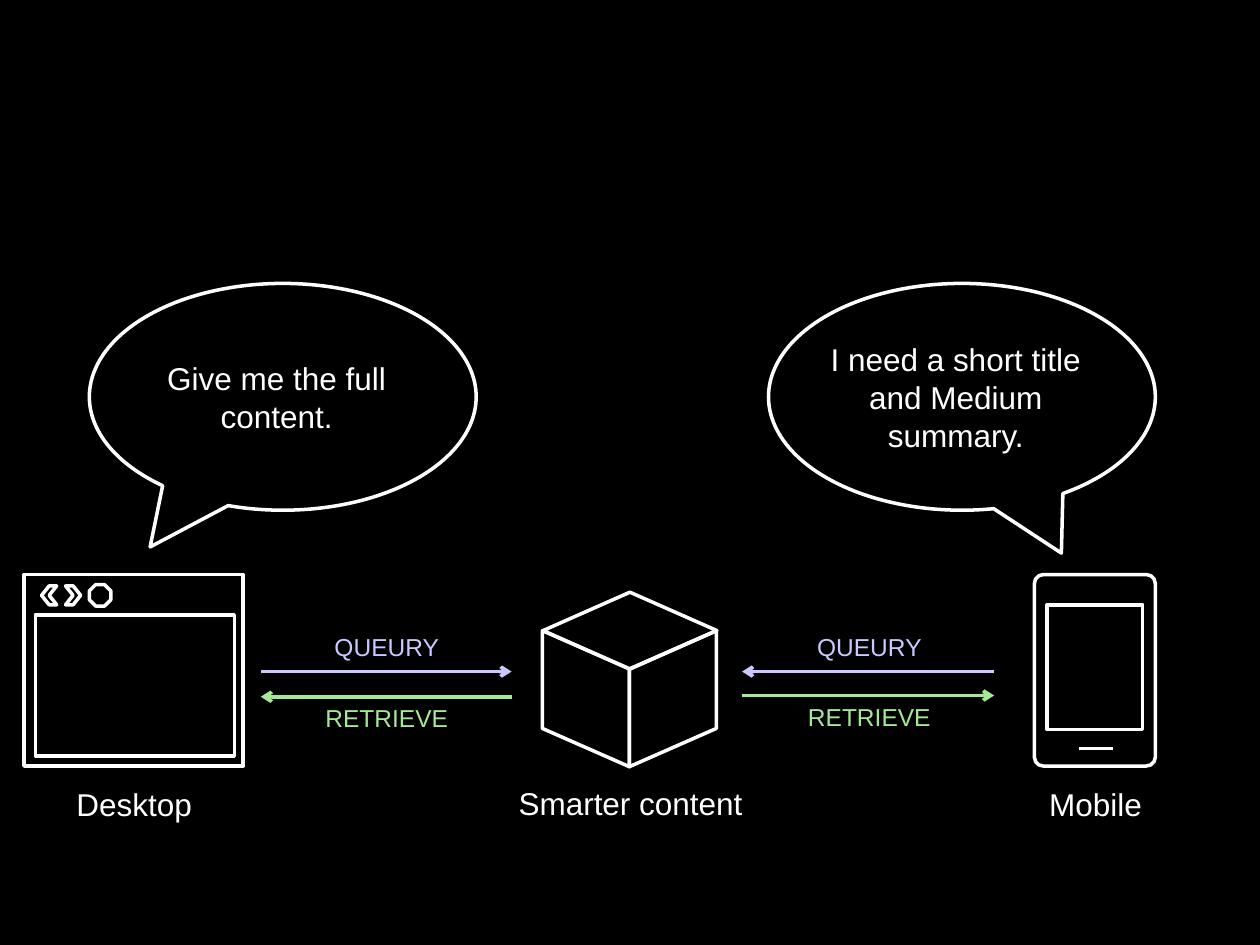
from pptx import Presentation
from pptx.dml.color import RGBColor
from pptx.enum.shapes import MSO_CONNECTOR, MSO_SHAPE
from pptx.enum.text import MSO_ANCHOR, MSO_AUTO_SIZE, PP_ALIGN
from pptx.oxml.ns import qn
from pptx.util import Inches, Pt
from lxml.etree import SubElement

WHITE, LILAC, GREEN = "FFFFFF", "CAC9FF", "A5E997"
color = RGBColor.from_string


def write(shape, text, hex_color, size, **frame_format):
    frame = shape.text_frame
    frame.word_wrap = True
    for name, value in frame_format.items():
        setattr(frame, name, value)
    paragraph = frame.paragraphs[0]
    paragraph.alignment = PP_ALIGN.CENTER
    run = paragraph.add_run()
    run.text = text
    for name, value in {"name": "Arial", "size": Pt(size)}.items():
        setattr(run.font, name, value)
    run.font.color.rgb = color(hex_color)


def outline(shapes, preset, box, adjustments=()):
    shape = shapes.add_shape(preset, *map(Inches, box))
    shape.shadow.inherit = False
    shape.fill.background()
    shape.line.color.rgb = color(WHITE)
    shape.line.width = Pt(2)
    for i, value in enumerate(adjustments):
        shape.adjustments[i] = value
    return shape


prs = Presentation()
prs.slide_width, prs.slide_height = Inches(10), Inches(7.5)
slide = prs.slides.add_slide(prs.slide_layouts[6])
slide.background.fill.solid()
slide.background.fill.fore_color.rgb = color("000000")

# Cube: two slanted sides and a top
cube = slide.shapes.add_group_shape().shapes
left_side = outline(cube, MSO_SHAPE.PARALLELOGRAM, (4.11, 5.2, 1.08, 0.69), [0.44])
left_side.rotation = 270
right_side = outline(cube, MSO_SHAPE.PARALLELOGRAM, (4.8, 5.2, 1.08, 0.69), [0.44])
right_side.rotation = 90
right_side._element.spPr.find(qn("a:xfrm")).set("flipH", "1")
outline(cube, MSO_SHAPE.DIAMOND, (4.31, 4.7, 1.38, 0.61))

# Desktop: browser window with its buttons
desktop = slide.shapes.add_group_shape().shapes
outline(desktop, MSO_SHAPE.RECTANGLE, (0.19, 4.56, 1.74, 1.52))
outline(desktop, MSO_SHAPE.RECTANGLE, (0.28, 4.88, 1.58, 1.12))
back = outline(desktop, MSO_SHAPE.CHEVRON, (0.33, 4.65, 0.12, 0.15))
back.rotation = 180
outline(desktop, MSO_SHAPE.CHEVRON, (0.52, 4.65, 0.12, 0.15))
outline(desktop, MSO_SHAPE.OCTAGON, (0.71, 4.64, 0.17, 0.17))

# Mobile: body and screen
mobile = slide.shapes.add_group_shape().shapes
outline(mobile, MSO_SHAPE.ROUNDED_RECTANGLE, (8.21, 4.56, 0.96, 1.52), [0.074])
outline(mobile, MSO_SHAPE.RECTANGLE, (8.31, 4.8, 0.76, 0.99))

# Home button and the arrows between the devices and the cube
for shapes, start, end, y, hex_color, has_head in [
    (mobile, 8.56, 8.83, 5.94, WHITE, False),
    (slide.shapes, 4.06, 2.07, 5.53, GREEN, True),
    (slide.shapes, 2.07, 4.06, 5.33, LILAC, True),
    (slide.shapes, 5.89, 7.89, 5.52, GREEN, True),
    (slide.shapes, 7.89, 5.89, 5.33, LILAC, True),
]:
    link = shapes.add_connector(MSO_CONNECTOR.STRAIGHT, *map(Inches, (start, y, end, y)))
    link.line.color.rgb = color(hex_color)
    link.line.width = Pt(2)
    if has_head:
        SubElement(link.line._get_or_add_ln(), qn("a:tailEnd"), type="arrow")
    SubElement(link._element.spPr, qn("a:effectLst"))

# Device names and arrow labels
for text, box, hex_color, size in [
    ("Smarter content", (3.42, 6.17, 3.17, 0.4), WHITE, 18),
    ("Desktop", (0.2, 6.18, 1.73, 0.4), WHITE, 18),
    ("Mobile", (7.99, 6.18, 1.41, 0.4), WHITE, 18),
    ("QUEURY", (2.08, 4.97, 1.98, 0.34), LILAC, 14),
    ("RETRIEVE", (2.08, 5.53, 1.98, 0.34), GREEN, 14),
    ("QUEURY", (5.91, 4.97, 1.98, 0.34), LILAC, 14),
    ("RETRIEVE", (5.91, 5.52, 1.98, 0.34), GREEN, 14),
]:
    label = slide.shapes.add_textbox(*map(Inches, box))
    write(label, text, hex_color, size, auto_size=MSO_AUTO_SIZE.SHAPE_TO_FIT_TEXT)

# Speech bubbles
bubble_format = {
    "vertical_anchor": MSO_ANCHOR.MIDDLE,
    "margin_left": 0, "margin_top": 0, "margin_right": Inches(0.1), "margin_bottom": 0,
}
for text, left, pointer in [
    ("I need a short title and Medium summary.", 6.1, (0.257, 0.689)),
    ("Give me the full content.", 0.71, (-0.343, 0.662)),
]:
    bubble = outline(slide.shapes, MSO_SHAPE.OVAL_CALLOUT, (left, 2.25, 3.07, 1.8), pointer)
    write(bubble, text, WHITE, 18, **bubble_format)

prs.save("out.pptx")
